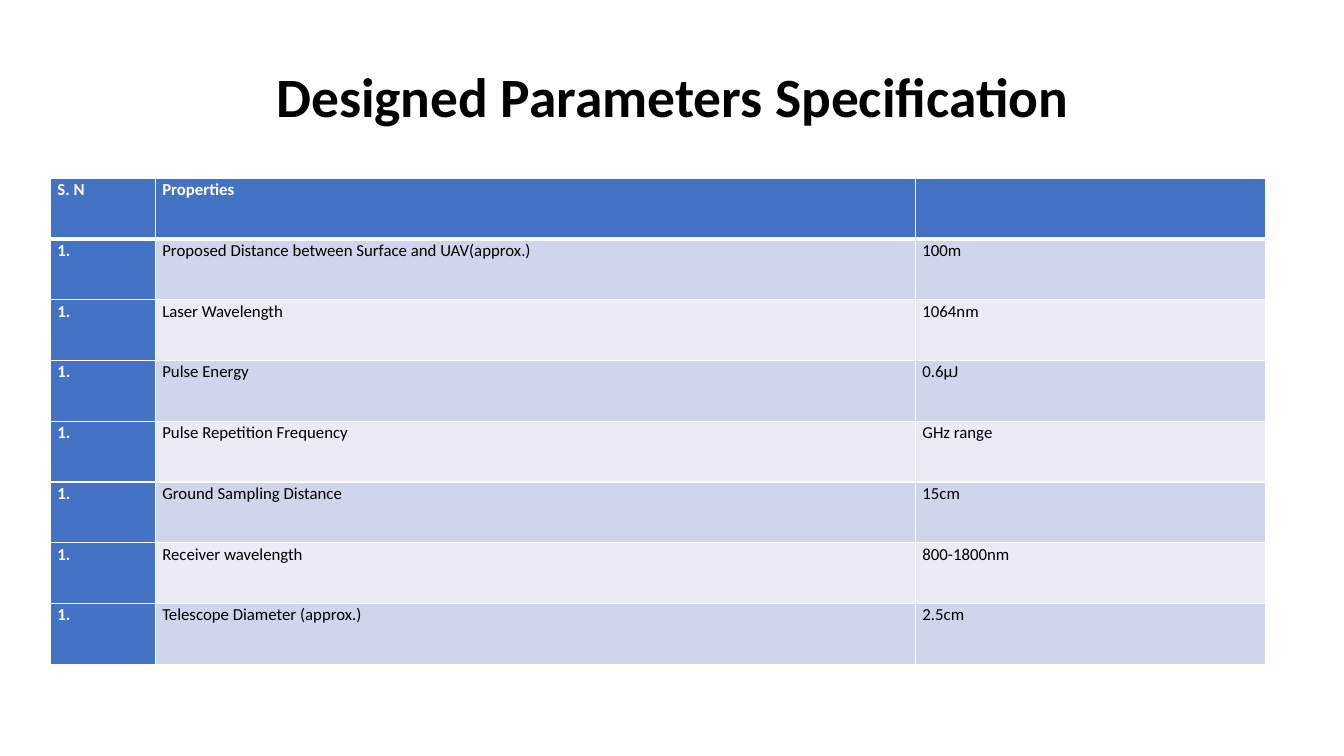
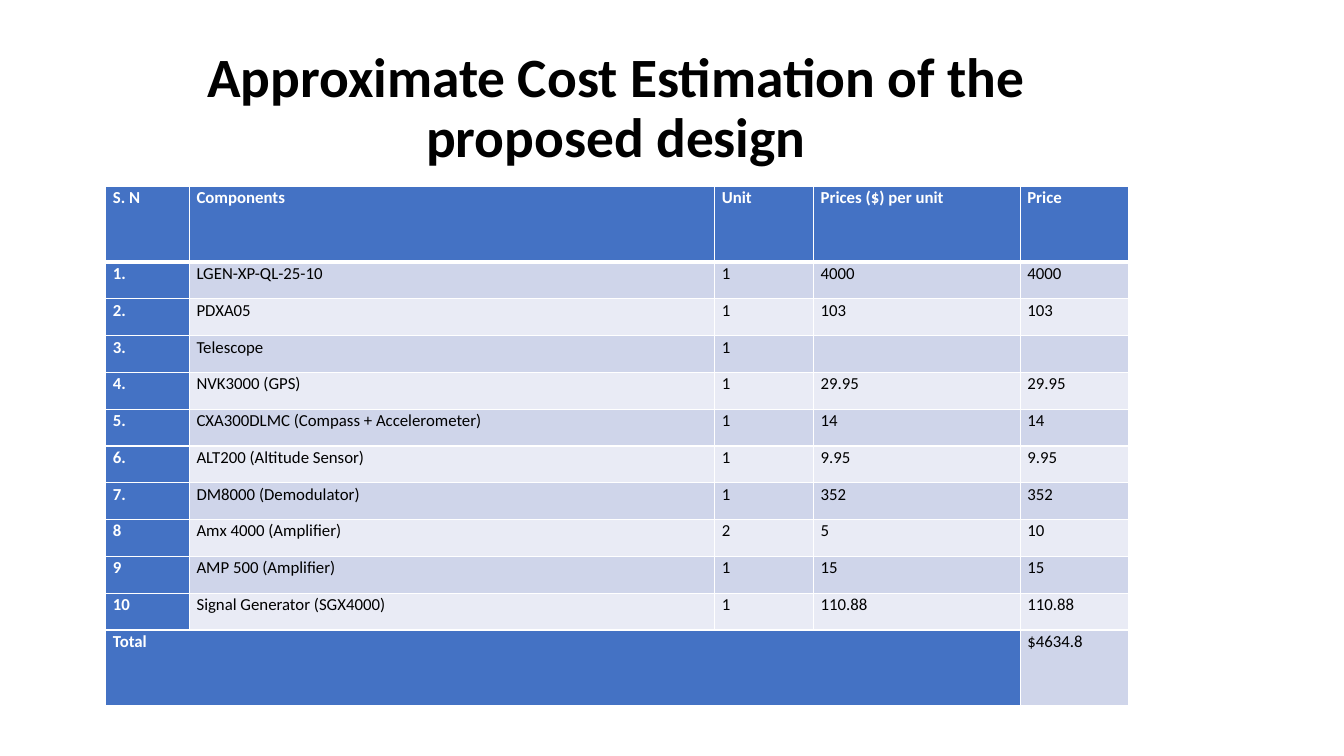
from dataclasses import dataclass

from lxml.etree import SubElement
from pptx import Presentation
from pptx.dml.color import RGBColor
from pptx.enum.text import MSO_ANCHOR, PP_ALIGN
from pptx.oxml.ns import qn
from pptx.util import Inches, Pt


@dataclass(frozen=True)
class Theme:
    font: str = "Calibri"
    title_size: float = 39.6
    cell_size: float = 12
    accent: str = "4472C4"
    bands: tuple = ("E9EBF5", "CFD5EA")
    dark: str = "000000"
    light: str = "FFFFFF"
    rule: float = 1
    header_rule: float = 3


THEME = Theme()
AUTO_NUMBER = " "  # a cell that holds only its automatic list number

# Content: boxes are left, top, width, height in inches
PARAMETERS = {
    "title": "Designed Parameters Specification",
    "title_box": (0.92, 0.4, 11.5, 1.25),
    "origin": (0.5, 1.77),
    "columns": (1.04, 7.54, 3.47),
    "heights": [4.82 / 8] * 8,
    "rows": [
        ("S. N", "Properties", ""),
        (AUTO_NUMBER, "Proposed Distance between Surface and UAV(approx.)", "100m"),
        (AUTO_NUMBER, "Laser Wavelength", "1064nm"),
        (AUTO_NUMBER, "Pulse Energy", "0.6µJ"),
        (AUTO_NUMBER, "Pulse Repetition Frequency", "GHz range"),
        (AUTO_NUMBER, "Ground Sampling Distance", "15cm"),
        (AUTO_NUMBER, "Receiver wavelength", "800-1800nm"),
        (AUTO_NUMBER, "Telescope Diameter (approx.)", "2.5cm"),
    ],
}
COSTS = {
    "title": "Approximate Cost Estimation of the proposed design",
    "title_box": (0.89, 0.4, 10.44, 1.45),
    "origin": (1.05, 1.85),
    "columns": (0.83, 5.21, 0.98, 2.05, 1.07),
    "heights": [0.75] + [3.65 / 10] * 10 + [0.75],
    "rows": [
        ("S. N", "Components", "Unit", "Prices ($) per unit", "Price"),
        ("1.", "LGEN-XP-QL-25-10", "1", "4000", "4000"),
        ("2.", "PDXA05", "1", "103", "103"),
        ("3.", "Telescope", "1", "", ""),
        ("4.", "NVK3000 (GPS)", "1", "29.95", "29.95"),
        ("5.", "CXA300DLMC (Compass + Accelerometer)", "1", "14", "14"),
        ("6.", "ALT200 (Altitude Sensor)", "1", "9.95", "9.95"),
        ("7.", "DM8000 (Demodulator)", "1", "352", "352"),
        ("8", "Amx 4000 (Amplifier)", "2", "5", "10"),
        ("9", "AMP 500 (Amplifier)", "1", "15", "15"),
        ("10", "Signal Generator (SGX4000)", "1", "110.88", "110.88"),
        ("Total", "", "", "", "$4634.8"),
    ],
    "total_span": 4,
}


# Shared styling
def style_paragraph(paragraph, size, color, bold, align, spacing):
    paragraph.alignment = align
    paragraph.line_spacing = spacing
    for run in paragraph.runs:
        run.font.name = THEME.font
        run.font.size = Pt(size)
        run.font.bold = bold
        run.font.color.rgb = RGBColor.from_string(color)


def add_title(slide, title, box):
    frame = slide.shapes.add_textbox(*map(Inches, box)).text_frame
    frame.word_wrap = True
    frame.vertical_anchor = MSO_ANCHOR.MIDDLE
    frame.margin_bottom = Inches(0.12)
    frame.text = title
    style_paragraph(frame.paragraphs[0], THEME.title_size, THEME.dark, True,
                    PP_ALIGN.CENTER, 0.9)


def add_borders(cell, row):
    properties = cell._tc.get_or_add_tcPr()
    widths = {"a:lnL": THEME.rule, "a:lnR": THEME.rule,
              "a:lnT": THEME.header_rule if row == 1 else THEME.rule,
              "a:lnB": THEME.header_rule if row == 0 else THEME.rule}
    for side, width in widths.items():
        line = SubElement(properties, qn(side), w=str(Pt(width)))
        fill = SubElement(line, qn("a:solidFill"))
        SubElement(fill, qn("a:srgbClr"), val=THEME.light)


def number_paragraph(paragraph):
    properties = paragraph._p.get_or_add_pPr()
    properties.set("marL", "0")
    properties.set("indent", "0")
    SubElement(properties, qn("a:buFont"), typeface=THEME.font)
    SubElement(properties, qn("a:buAutoNum"), type="arabicPeriod")


def style_cell(cell, text, row, heading):
    cell.margin_left = cell.margin_right = Inches(0.07)
    cell.margin_top = cell.margin_bottom = 0
    add_borders(cell, row)
    cell.fill.solid()
    cell.fill.fore_color.rgb = RGBColor.from_string(
        THEME.accent if heading else THEME.bands[row % 2])
    cell.text_frame.text = text
    paragraph = cell.text_frame.paragraphs[0]
    style_paragraph(paragraph, THEME.cell_size,
                    THEME.light if heading else THEME.dark, heading,
                    PP_ALIGN.JUSTIFY, 1.07)
    if text == AUTO_NUMBER:
        number_paragraph(paragraph)


def add_grid(slide, content):
    rows, columns, heights = content["rows"], content["columns"], content["heights"]
    box = (*content["origin"], sum(columns), sum(heights))
    table = slide.shapes.add_table(len(rows), len(columns), *map(Inches, box)).table
    for column, width in zip(table.columns, columns):
        column.width = Inches(width)
    for table_row, height in zip(table.rows, heights):
        table_row.height = Inches(height)

    span = content.get("total_span", 1)
    last = len(rows) - 1
    for r, values in enumerate(rows):
        for c, value in enumerate(values):
            heading = r == 0 or c == 0 or (r == last and c < span)
            style_cell(table.cell(r, c), value, r, heading)
    if span > 1:
        table.cell(last, 0).merge(table.cell(last, span - 1))


def main():
    deck = Presentation()
    deck.slide_width, deck.slide_height = Inches(13.33), Inches(7.5)
    for content in (PARAMETERS, COSTS):
        slide = deck.slides.add_slide(deck.slide_layouts[6])
        add_title(slide, content["title"], content["title_box"])
        add_grid(slide, content)
    deck.save("out.pptx")


if __name__ == "__main__":
    main()
